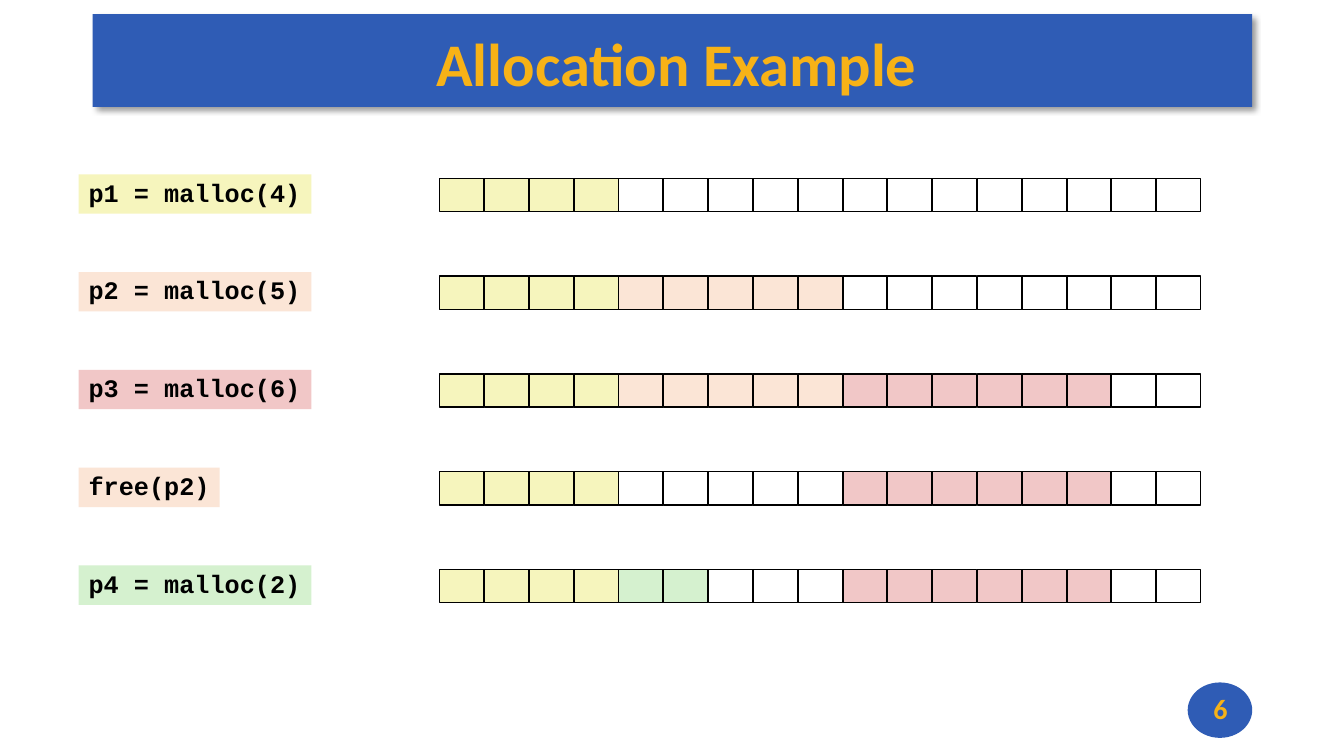
from lxml import etree
from pptx import Presentation
from pptx.dml.color import RGBColor
from pptx.enum.shapes import MSO_SHAPE
from pptx.enum.text import MSO_ANCHOR, MSO_AUTO_SIZE, PP_ALIGN
from pptx.oxml.ns import qn
from pptx.util import Inches, Pt

RECTANGLE, OVAL = MSO_SHAPE.RECTANGLE, MSO_SHAPE.OVAL
TOP, MIDDLE = MSO_ANCHOR.TOP, MSO_ANCHOR.MIDDLE
LEFT, CENTER = PP_ALIGN.LEFT, PP_ALIGN.CENTER
FIT_SHAPE, NO_FIT = MSO_AUTO_SIZE.SHAPE_TO_FIT_TEXT, MSO_AUTO_SIZE.NONE

BLUE = RGBColor(0x2F, 0x5C, 0xB5)
GOLD = RGBColor(0xF7, 0xB2, 0x17)
BLACK = RGBColor(0x00, 0x00, 0x00)
WHITE = RGBColor(0xFF, 0xFF, 0xFF)
YELLOW = RGBColor(0xF6, 0xF5, 0xBD)
PEACH = RGBColor(0xFB, 0xE5, 0xD6)
PINK = RGBColor(0xF1, 0xC7, 0xC7)
GREEN = RGBColor(0xD5, 0xF1, 0xCF)

CELL_PITCH, CELL_WIDTH, CELL_HEIGHT = 7.11 / 16, 0.44, 0.33
ROW_TOP, ROW_PITCH = 1.73, 0.97
STEPS = [
    ("p1 = malloc(4)", 2.31, YELLOW, [(YELLOW, 4), (WHITE, 13)]),
    ("p2 = malloc(5)", 2.31, PEACH, [(YELLOW, 4), (PEACH, 5), (WHITE, 8)]),
    ("p3 = malloc(6)", 2.31, PINK, [(YELLOW, 4), (PEACH, 5), (PINK, 6), (WHITE, 2)]),
    ("free(p2)", 1.4, PEACH, [(YELLOW, 4), (WHITE, 5), (PINK, 6), (WHITE, 2)]),
    ("p4 = malloc(2)", 2.31, GREEN,
     [(YELLOW, 4), (GREEN, 2), (WHITE, 3), (PINK, 6), (WHITE, 2)]),
]


def set_attributes(target, values):
    """Set each named attribute of the target."""
    for name, value in values.items():
        setattr(target, name, value)


def add_block(shapes, kind, box, color, outlined=False):
    """Add a filled shape without shadow, outlined in black on request."""
    shape = shapes.add_shape(kind, *map(Inches, box))
    shape.shadow.inherit = False
    shape.fill.solid()
    shape.fill.fore_color.rgb = color
    if outlined:
        shape.line.color.rgb = BLACK
        shape.line.width = Pt(1)
    else:
        shape.line.fill.background()
    return shape


def write_text(shape, text, font_name, size, color, alignment, frame_values):
    """Write one bold line of text into the shape."""
    frame = shape.text_frame
    set_attributes(frame, frame_values)
    paragraph = frame.paragraphs[0]
    paragraph.text = text
    paragraph.alignment = alignment
    set_attributes(paragraph.font, {"name": font_name, "size": Pt(size), "bold": True})
    paragraph.font.color.rgb = color
    return paragraph


def add_banner_shadow(banner):
    """Give the banner a soft shadow to the lower right."""
    effects = banner.element.spPr.find(qn("a:effectLst"))
    shadow = etree.SubElement(effects, qn("a:outerShdw"), blurRad=str(Pt(4)),
                              dist=str(Pt(3)), dir="2700000", algn="tl", rotWithShape="0")
    color = etree.SubElement(shadow, qn("a:srgbClr"), val="000000")
    etree.SubElement(color, qn("a:alpha"), val="40000")


def add_title(slide, box, text):
    """Place the title over its blue banner."""
    left, top, width, height = box
    banner = add_block(slide.shapes, RECTANGLE, box, BLUE)
    add_banner_shadow(banner)
    title = slide.shapes.title
    title.element.addprevious(banner.element)
    set_attributes(title, {
        "left": Inches(left + 0.02), "top": Inches(top + 0.07),
        "width": Inches(width - 0.04), "height": Inches(height - 0.1)})
    write_text(title, text, "Calibri", 43.2, GOLD, CENTER, {
        "margin_left": Inches(0.08), "margin_right": 0,
        "margin_top": Inches(0.03), "margin_bottom": Inches(0.03),
        "vertical_anchor": MIDDLE, "word_wrap": True, "auto_size": NO_FIT})


def add_memory(slide, left, top, runs):
    """Add a grouped row of memory cells from runs of colour and count."""
    group = slide.shapes.add_group_shape()
    colors = [color for color, count in runs for _ in range(count)]
    for index, color in enumerate(colors):
        box = (left + index * CELL_PITCH, top, CELL_WIDTH, CELL_HEIGHT)
        add_block(group.shapes, RECTANGLE, box, color, outlined=True)


def add_step(slide, left, top, step):
    """Add one allocation call and the memory that results from it."""
    text, width, color, runs = step
    add_memory(slide, left + 3.58, top + 0.04, runs)
    label = add_block(slide.shapes, RECTANGLE, (left, top, width, 0.39), color)
    paragraph = write_text(label, text, "Courier New", 18, BLACK, LEFT, {
        "vertical_anchor": TOP, "word_wrap": False, "auto_size": FIT_SHAPE})
    paragraph.line_spacing = 0.94


def add_page_number(slide, box, number):
    """Add the page number on a blue oval."""
    left, top, width, height = box
    add_block(slide.shapes, OVAL, box, BLUE)
    label = slide.shapes.add_textbox(*map(Inches, (left, top, width + 0.01, height - 0.03)))
    write_text(label, number, "Calibri", 20, GOLD, CENTER,
               {"vertical_anchor": MIDDLE, "word_wrap": True})


def main():
    """Build and save the allocation slide."""
    presentation = Presentation()
    presentation.slide_width = Inches(13.33)
    presentation.slide_height = Inches(7.5)
    slide = presentation.slides.add_slide(presentation.slide_layouts[5])
    add_title(slide, (0.92, 0.14, 11.5, 0.92), "Allocation Example")
    for index, step in enumerate(STEPS):
        add_step(slide, 0.78, ROW_TOP + index * ROW_PITCH, step)
    add_page_number(slide, (11.78, 6.77, 0.64, 0.55), "6")
    presentation.save("out.pptx")


if __name__ == "__main__":
    main()
